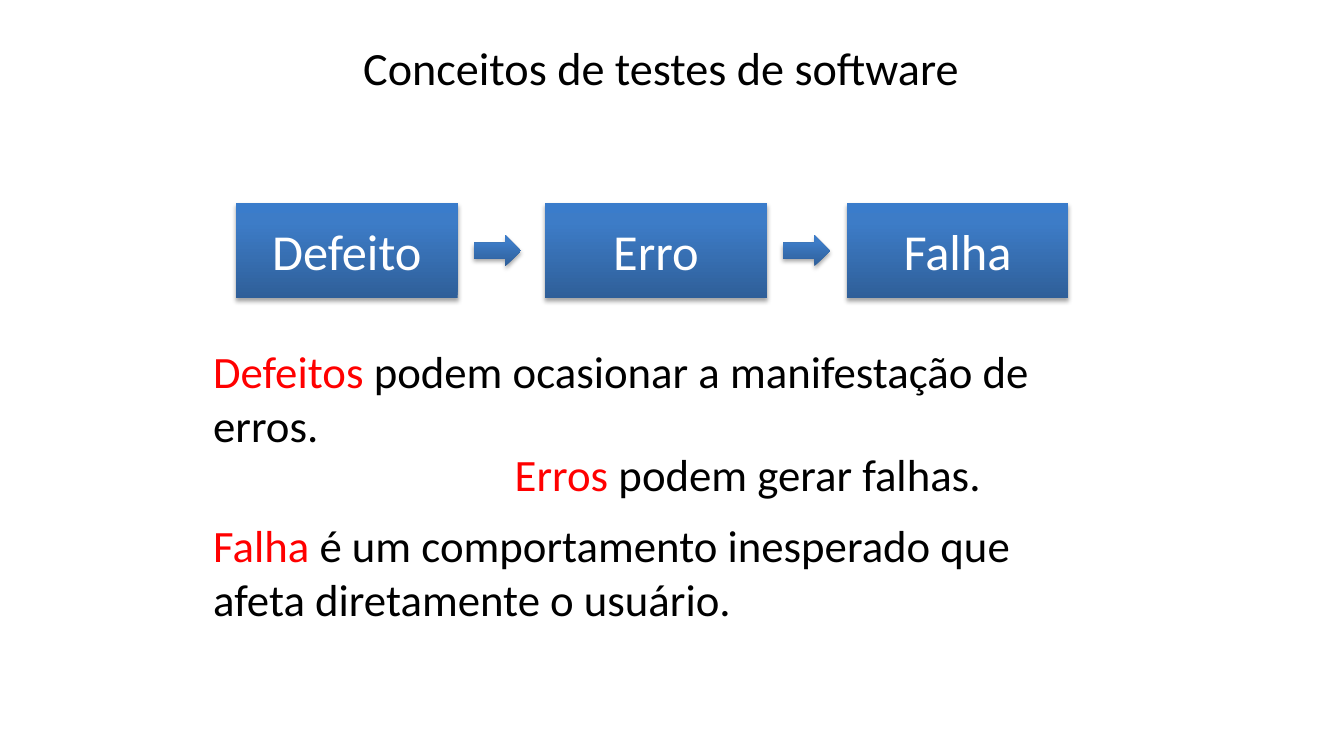
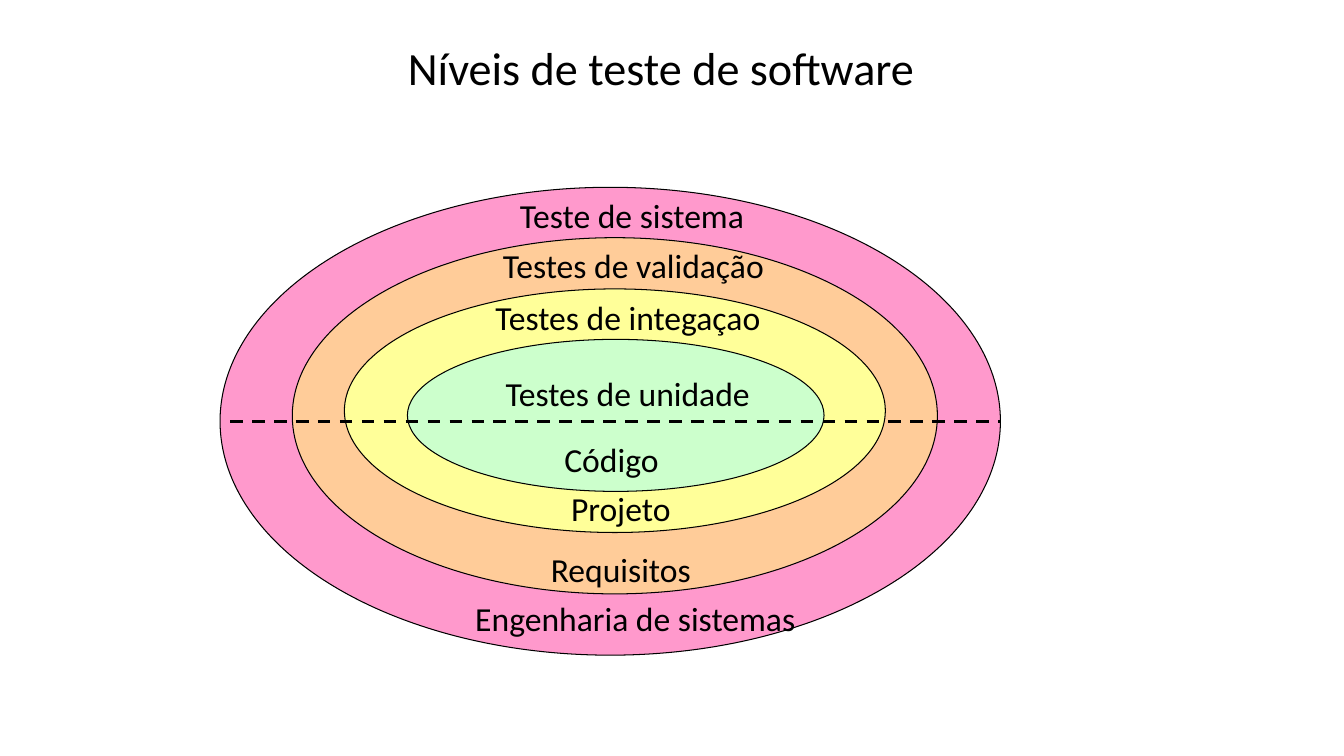
"""Build two slides on software testing: key concepts and test levels."""
from lxml import etree
from pptx import Presentation
from pptx.dml.color import RGBColor
from pptx.enum.dml import MSO_LINE
from pptx.enum.shapes import MSO_CONNECTOR, MSO_SHAPE
from pptx.enum.text import MSO_ANCHOR, PP_ALIGN
from pptx.oxml import parse_xml
from pptx.oxml.ns import qn
from pptx.util import Emu, Inches, Pt

RECT, ARROW, OVAL = MSO_SHAPE.RECTANGLE, MSO_SHAPE.RIGHT_ARROW, MSO_SHAPE.OVAL
LINE, DASH = MSO_CONNECTOR.STRAIGHT, MSO_LINE.DASH
MID, CENTER = MSO_ANCHOR.MIDDLE, PP_ALIGN.CENTER
FONT = "Calibri"
INK = {
    "black": "000000", "white": "FFFFFF", "red": "FF0000",
    "pink": "FF99CC", "peach": "FFCC99", "yellow": "FFFF99", "green": "CCFFCC",
}
BLUES = {0: "2F5F99", 80: "3D7CC7", 100: "3A7CCB"}
SPACE = 'xmlns:a="http://schemas.openxmlformats.org/drawingml/2006/main"'
STOPS = "".join(
    f'<a:gs pos="{pos * 1000}"><a:srgbClr val="{hue}"/></a:gs>'
    for pos, hue in BLUES.items()
)
GRAD = (f'<a:gradFill {SPACE} rotWithShape="1"><a:gsLst>{STOPS}</a:gsLst>'
        '<a:lin ang="16200000" scaled="0"/></a:gradFill>')
SHADE = (f'<a:outerShdw {SPACE} blurRad="40000" dist="23000" dir="5400000" '
         f'rotWithShape="0"><a:srgbClr val="{INK["black"]}">'
         '<a:alpha val="35000"/></a:srgbClr></a:outerShdw>')

deck = Presentation()
deck.slide_width, deck.slide_height = Inches(40 / 3), Inches(7.5)
COL, ROW = deck.slide_width / 160, deck.slide_height / 90


def place(x, y, w, h):
    """Turn grid columns and rows into lengths."""
    return [Emu(round(n * unit)) for n, unit in zip((x, y, w, h), (COL, ROW) * 2)]


def write(shape, size, *parts):
    """Fill one paragraph with (text, colour) runs."""
    para = shape.text_frame.paragraphs[0]
    for text, hue in parts:
        run = para.add_run()
        run.text = text
        run.font.name, run.font.size = FONT, Pt(size)
        run.font.color.rgb = RGBColor.from_string(INK[hue])
    return para


layout = deck.slide_layouts[5]
head = layout.placeholders[0]
head.left, head.top, head.width, head.height = place(6.7, 0.5, 144, 15)

slides = []
for text in ("Conceitos de testes de software", "Níveis de teste de software"):
    slide = deck.slides.add_slide(layout)
    title = slide.shapes.title
    title.text_frame.vertical_anchor = MID
    write(title, 33, (text, "black")).alignment = CENTER
    slides.append(slide)
ideas, levels = (slide.shapes for slide in slides)

NOTES = [
    ("Defeitos", " podem ocasionar a manifestação de erros.", 24.2, 40.3, 100.2, 14.2),
    ("Erros", " podem gerar falhas.", 60.1, 52.6, 63.4, 7.7),
    ("Falha ", "é um comportamento inesperado que afeta diretamente o usuário.",
     24.2, 61.1, 100.2, 14.2),
]
for term, rest, *spot in NOTES:
    note = ideas.add_textbox(*place(*spot))
    note.text_frame.word_wrap = True
    write(note, 32, (term, "red"), (rest, "black"))

BOX, TIP = (24.2, 26.4, 11.3), (28, 5.6, 3.7)
FLOW = [
    (RECT, "Defeito", 28.1, BOX), (RECT, "Erro", 64.9, BOX), (RECT, "Falha", 100.8, BOX),
    (ARROW, "", 56.4, TIP), (ARROW, "", 93.2, TIP),
]
for kind, text, x, spot in FLOW:
    step = ideas.add_shape(kind, *place(x, *spot))
    step.line.fill.background()
    step.shadow.inherit = False
    props = step._element.spPr
    props.find(qn("a:ln")).addprevious(parse_xml(GRAD))
    props.find(qn("a:effectLst")).append(parse_xml(SHADE))
    if text:
        step.text_frame.vertical_anchor = MID
        write(step, 36, (text, "white")).alignment = CENTER

RINGS = [
    ("pink", 26.2, 22.3, 92.9, 55.7), ("peach", 34.8, 28.3, 76.8, 42.4),
    ("yellow", 41, 34.4, 64.4, 29), ("green", 48.5, 40.4, 49.6, 18.1),
]
for hue, *spot in RINGS:
    ring = levels.add_shape(OVAL, *place(*spot))
    ring.shadow.inherit = False
    ring.fill.solid()
    ring.fill.fore_color.rgb = RGBColor.from_string(INK[hue])
    ring.line.color.rgb = RGBColor.from_string(INK["black"])
    ring.line.width = Pt(0.75)

split = levels.add_connector(LINE, *place(27.4, 50.2, 119, 50.2))
split.line.color.rgb = RGBColor.from_string(INK["black"])
split.line.width, split.line.dash_style = Pt(2.25), DASH
etree.SubElement(split._element.spPr, qn("a:effectLst"))

LABELS = [
    ("Código", 66, 51.7, 13.8), ("Projeto", 66.8, 57.5, 14.5),
    ("Requisitos", 64.4, 64.7, 19.3), ("Engenharia de sistemas", 55.4, 70.6, 41),
    ("Testes de unidade", 59, 43.8, 32.3), ("Testes de integaçao", 57.8, 34.8, 34.9),
    ("Testes de validação", 58.7, 28.6, 34.3), ("Teste de sistema", 60.7, 22.6, 29.9),
]
for text, *spot in LABELS:
    label = levels.add_textbox(*place(*spot, 6))
    label.text_frame.word_wrap = False
    write(label, 24, (text, "black"))

deck.save("out.pptx")
